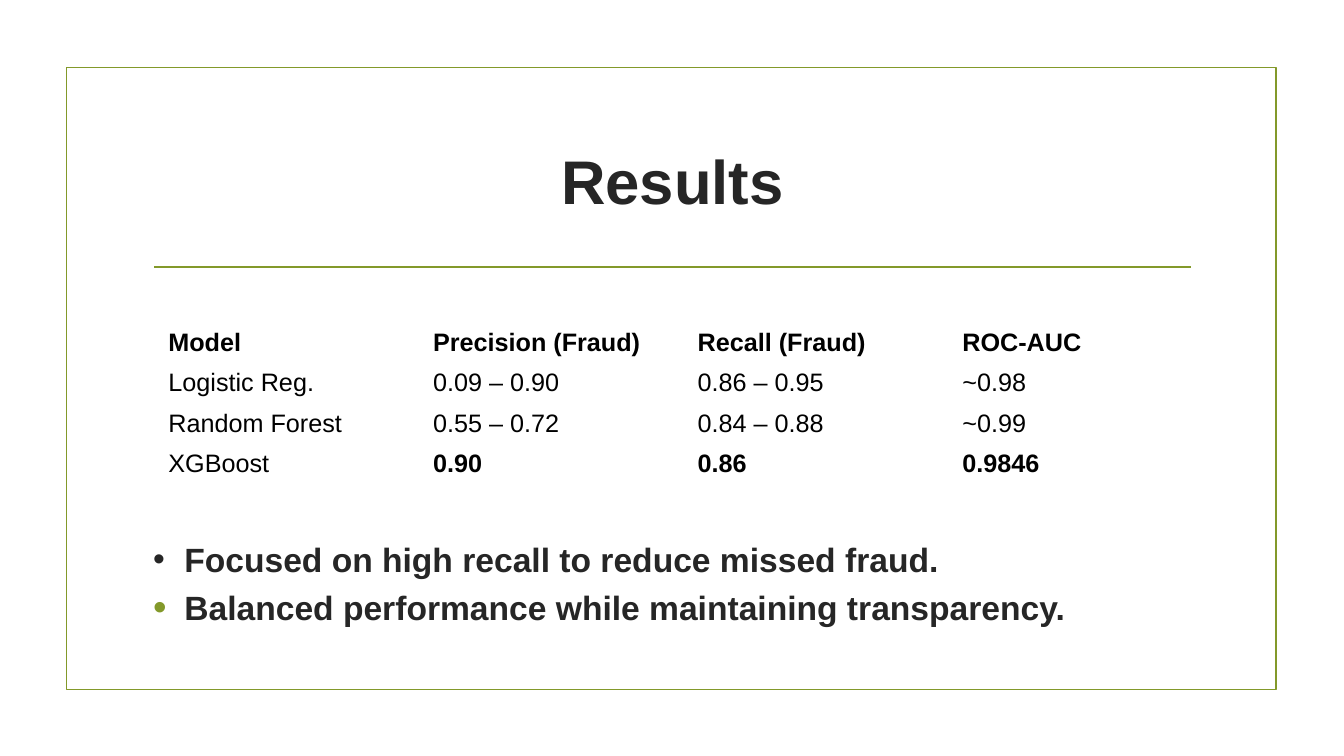
from lxml.etree import SubElement
from pptx import Presentation
from pptx.dml.color import RGBColor
from pptx.enum.shapes import MSO_CONNECTOR as Connector, MSO_SHAPE as Shape
from pptx.enum.text import MSO_ANCHOR as Anchor, PP_ALIGN as Align
from pptx.oxml.ns import qn
from pptx.util import Inches, Pt

GREEN = RGBColor(0x83, 0x99, 0x2A)
DARK = RGBColor(0x26, 0x26, 0x26)
BLACK = RGBColor(0x00, 0x00, 0x00)


def write(para, text, size=24, color=DARK, bold=True, align=Align.LEFT):
    para.alignment = align
    span = para.add_run()
    span.text = text
    span.font.name = "Arial"
    span.font.size = Pt(size)
    span.font.bold = bold
    span.font.color.rgb = color


def add_text_frame(left, top, width, height):
    box = page.shapes.add_textbox(Inches(left), Inches(top), Inches(width), Inches(height))
    box.text_frame.word_wrap = True
    box.text_frame.vertical_anchor = Anchor.MIDDLE
    return box.text_frame


deck = Presentation()
deck.slide_width = Inches(13.33)
deck.slide_height = Inches(7.5)
page = deck.slides.add_slide(deck.slide_layouts[6])

border = page.shapes.add_shape(Shape.RECTANGLE, Inches(0.66), Inches(0.67), Inches(12), Inches(6.17))
border.shadow.inherit = False
border.fill.background()
border.line.color.rgb = GREEN
border.line.width = Pt(1.25)

divider = page.shapes.add_connector(
    Connector.STRAIGHT, Inches(1.53), Inches(2.65), Inches(11.81), Inches(2.65))
divider.line.color.rgb = GREEN
divider.line.width = Pt(1.25)
SubElement(divider.element.spPr, qn("a:effectLst"))

title = add_text_frame(1.42, 1.07, 10.5, 1.43)
write(title.paragraphs[0], "Results", size=44, align=Align.CENTER)

results = [
    ["Model", "Precision (Fraud)", "Recall (Fraud)", "ROC-AUC"],
    ["Logistic Reg.", "0.09 – 0.90", "0.86 – 0.95", "~0.98"],
    ["Random Forest", "0.55 – 0.72", "0.84 – 0.88", "~0.99"],
    ["XGBoost", "0.90", "0.86", "0.9846"],
]
table = page.shapes.add_table(
    4, 4, Inches(1.57), Inches(3.2), Inches(10.5), Inches(1.6)).table
table.first_row = False
table.horz_banding = False
for row, values in enumerate(results):
    for column, value in enumerate(values):
        cell = table.cell(row, column)
        cell.fill.background()
        cell.vertical_anchor = Anchor.MIDDLE
        best = row == 3 and column > 0
        write(cell.text_frame.paragraphs[0], value, size=18, color=BLACK, bold=row == 0 or best)

findings = add_text_frame(1.42, 5.3, 11.09, 0.97)
bullets = [
    ("Focused on high recall to reduce missed fraud.", DARK, 100),
    ("Balanced performance while maintaining transparency.", GREEN, 115),
]
for number, (text, bullet_color, bullet_percent) in enumerate(bullets):
    para = findings.add_paragraph() if number else findings.paragraphs[0]
    write(para, text)
    if number:
        para.space_before = Pt(6)
    properties = para._p.get_or_add_pPr()
    properties.set("marL", str(Inches(0.31)))
    properties.set("indent", str(-Inches(0.31)))
    color = SubElement(properties, qn("a:buClr"))
    SubElement(color, qn("a:srgbClr"), val=str(bullet_color))
    SubElement(properties, qn("a:buSzPct"), val=str(bullet_percent * 1000))
    SubElement(properties, qn("a:buFont"), typeface="Arial")
    SubElement(properties, qn("a:buChar"), char="•")

deck.save("out.pptx")
